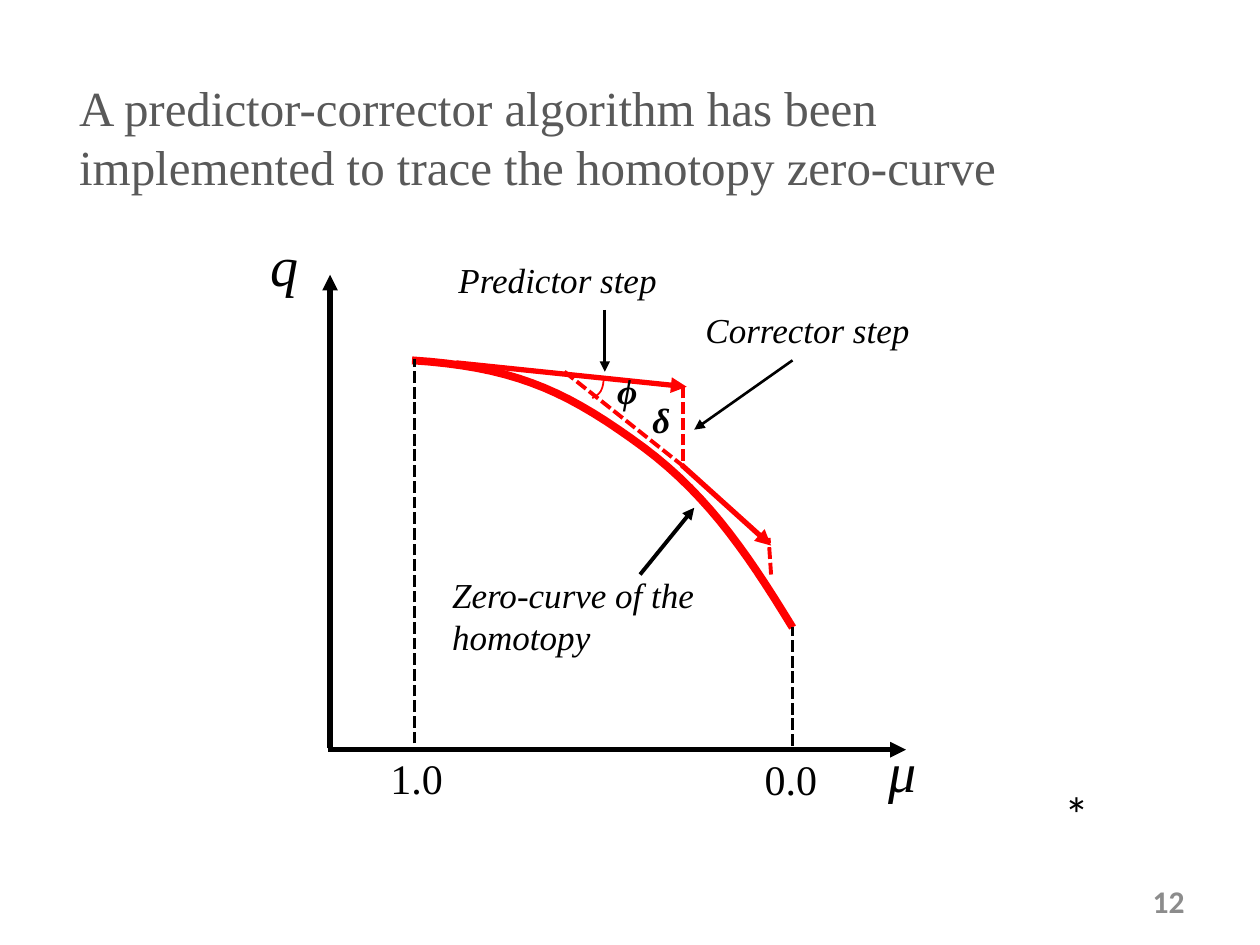
"""Build the predictor-corrector homotopy slide."""
from lxml import etree
from pptx import Presentation
from pptx import util as u
from pptx.dml.color import RGBColor
from pptx.enum import dml, shapes, text
from pptx.oxml import ns

BLACK, RED = "000000", "FF0000"
SERIF = "Times New Roman"


def style_line(sp, color, width):
    sp.line.color.rgb = RGBColor.from_string(color)
    sp.line.width = u.Pt(width)


def add_text(s, box, words, size, color=BLACK, font=SERIF, bold=False, italic=False, wrap=False):
    sp = s.shapes.add_textbox(*[u.Inches(v) for v in box])
    tf = sp.text_frame
    tf.word_wrap = wrap
    tf.auto_size = text.MSO_AUTO_SIZE.SHAPE_TO_FIT_TEXT
    r = tf.paragraphs[0].add_run()
    r.text = words
    r.font.name, r.font.size = font, u.Pt(size)
    r.font.bold, r.font.italic = bold, italic
    r.font.color.rgb = RGBColor.from_string(color)
    return tf


prs = Presentation()
prs.slide_width, prs.slide_height = u.Inches(10), u.Inches(7.5)
s = prs.slides.add_slide(prs.slide_layouts[6])

add_text(s, (0.53, 0.57, 8.39, 1.04),
         "A predictor-corrector algorithm has been implemented to trace the homotopy zero-curve",
         28, "595959", wrap=True)

zero_curve = [(3.27, 2.86), (4.04, 2.91), (4.45, 3.08), (5.01, 3.48),
              (5.57, 3.87), (5.9, 4.34), (6.29, 4.98)]
angle_arc = [(4.79, 3.01), (4.79, 3.05), (4.78, 3.08), (4.77, 3.1),
             (4.76, 3.12), (4.74, 3.14), (4.7, 3.16)]
steps = 16
for knots, width in [(zero_curve, 4.5), (angle_arc, 1)]:
    points = []
    for i in range(0, len(knots) - 1, 3):
        a, b, c, d = knots[i:i + 4]
        for n in range(1, steps + 1):
            t = n / steps
            points.append([u.Inches((1 - t) ** 3 * a[k] + 3 * t * (1 - t) ** 2 * b[k]
                                    + 3 * t ** 2 * (1 - t) * c[k] + t ** 3 * d[k])
                           for k in (0, 1)])
    builder = s.shapes.build_freeform(u.Inches(knots[0][0]), u.Inches(knots[0][1]))
    builder.add_line_segments(points, close=False)
    sp = builder.convert_to_shape()
    sp.shadow.inherit = False
    sp.fill.background()
    style_line(sp, RED, width)

mu_axis = (2.6, 5.95, 7.19, 5.95)
q_axis = (2.62, 5.94, 2.62, 2.18)
predictors = [(3.62, 2.88, 5.45, 3.07), (5.41, 3.69, 6.12, 4.33)]
correctors = [(5.42, 3.66, 5.42, 3.05), (6.12, 4.56, 6.1, 4.27)]
back_tangent = (4.48, 2.95, 5.41, 3.69)
drops = [(3.29, 5.9, 3.29, 2.85), (6.29, 5.92, 6.29, 4.98)]
curve_pointer = (5.08, 4.56, 5.51, 4.03)
step_pointers = [(4.8, 2.46, 4.8, 2.95), (6.29, 2.86, 5.51, 3.41)]

for lines, color, width, dashed in [
    ([mu_axis, q_axis], BLACK, 3, False),
    (predictors, RED, 3, False),
    (correctors + [back_tangent], RED, 2.25, True),
    (drops, BLACK, 2.25, True),
    ([curve_pointer], BLACK, 2.25, False),
    (step_pointers, BLACK, 1.5, False),
]:
    for ends in lines:
        sp = s.shapes.add_connector(shapes.MSO_CONNECTOR.STRAIGHT, *[u.Inches(v) for v in ends])
        style_line(sp, color, width)
        props = sp.element.spPr
        if dashed:
            sp.line.dash_style = dml.MSO_LINE.SQUARE_DOT
        else:
            etree.SubElement(props.find(ns.qn("a:ln")), ns.qn("a:tailEnd"), type="triangle")
        etree.SubElement(props, ns.qn("a:effectLst"))

for words, x, y in [("μ", 6.95, 5.8), ("q", 2.05, 1.78)]:
    add_text(s, (x, y, 0.59, 0.66), words, 32, italic=True)
for words, x, y in [("1.0", 3, 5.92), ("0.0", 5.97, 5.93)]:
    add_text(s, (x, y, 0.65, 0.52), words, 24)
for words, box in [("Zero-curve of the homotopy", (3.49, 4.5, 2.36, 0.8)),
                   ("Predictor step", (3.54, 2, 1.91, 0.45)),
                   ("Corrector step", (5.5, 2.4, 1.91, 0.45))]:
    add_text(s, box, words, 20, italic=True, wrap=True)
for words, x, y, w in [("ϕ", 4.8, 2.88, 0.47), ("δ", 5.08, 3.11, 0.45)]:
    add_text(s, (x, y, w, 0.45), words, 20, bold=True, italic=True)

tf = add_text(s, (7.17, 6.95, 2.33, 0.4), "12", 18, "8C8C8C", "Calibri", bold=True, wrap=True)
tf.auto_size = text.MSO_AUTO_SIZE.NONE
tf.vertical_anchor = text.MSO_ANCHOR.MIDDLE
tf.paragraphs[0].alignment = text.PP_ALIGN.RIGHT
add_text(s, (8.35, 6.17, 0.4, 0.57), "*", 28, font="Calibri")

prs.save("out.pptx")
